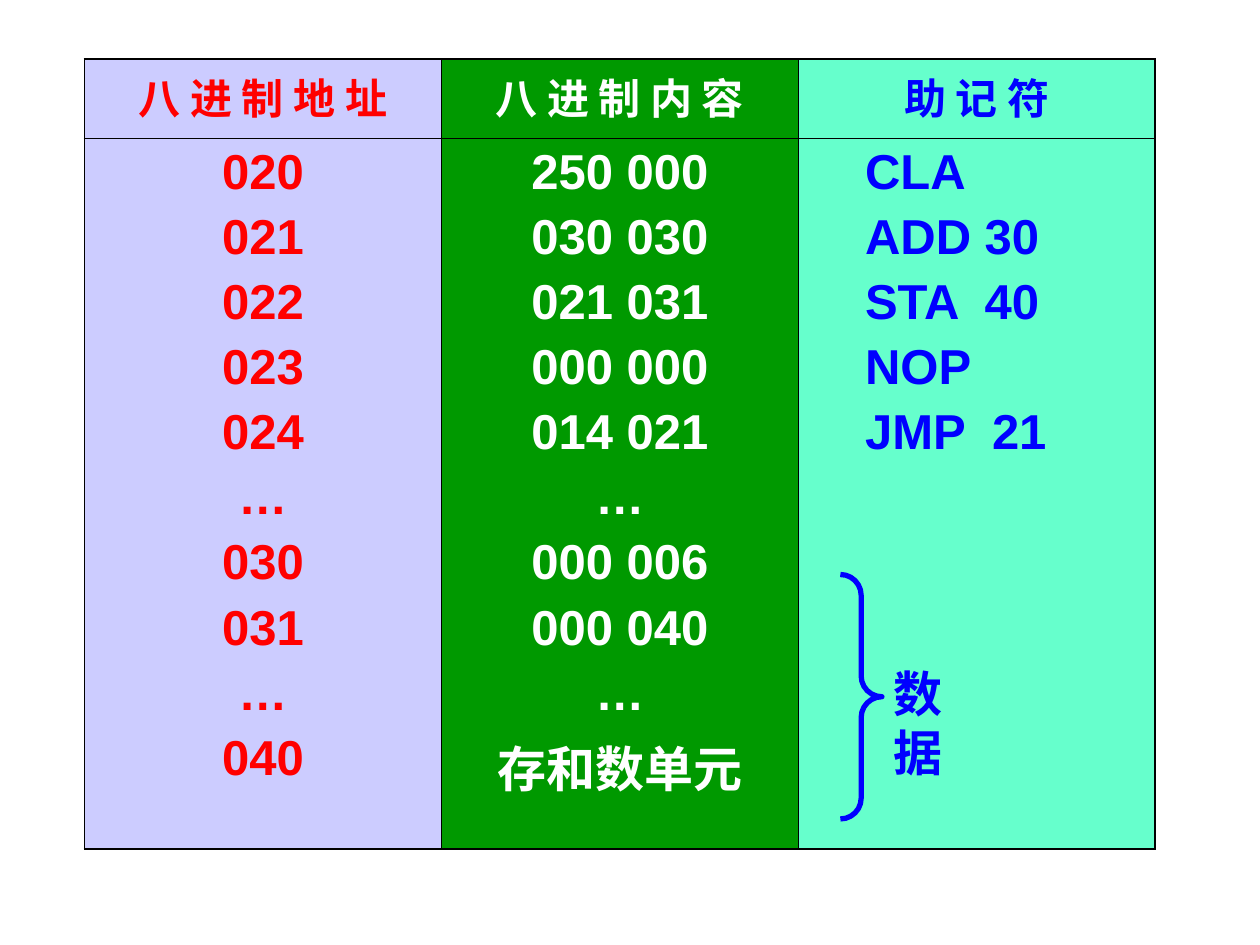
from dataclasses import dataclass

from lxml.etree import SubElement
from pptx import Presentation
from pptx.dml.color import RGBColor
from pptx.enum.shapes import MSO_SHAPE
from pptx.enum.text import MSO_ANCHOR, MSO_AUTO_SIZE, PP_ALIGN
from pptx.oxml import parse_xml
from pptx.oxml.ns import nsdecls, qn
from pptx.slide import Slide
from pptx.table import _Cell
from pptx.text.text import TextFrame
from pptx.util import Emu, Pt


@dataclass(frozen=True)
class Theme:
    address_text: str = "FF0000"
    address_fill: str = "CCCCFF"
    content_text: str = "FFFFFF"
    content_fill: str = "009900"
    mnemonic_text: str = "0000FF"
    mnemonic_fill: str = "66FFCC"
    border: str = "000000"
    latin_font: str = "Arial"
    chinese_font: str = "Noto Sans CJK SC"
    heading_size: int = 24
    body_size: int = 28
    line_gap: int = 6
    outer_border: float = 1.08
    inner_border: float = 0.45
    brace_width: int = 3


@dataclass(frozen=True)
class Column:
    heading: str
    lines: list[str]
    text_color: str
    fill: str
    align: PP_ALIGN = PP_ALIGN.CENTER
    indent: int = 0


@dataclass(frozen=True)
class Area:
    left: int
    top: int
    width: int
    height: int

    def emu(self) -> tuple[Emu, ...]:
        return tuple(map(px, (self.left, self.top, self.width, self.height)))


THEME = Theme()
EMU_PER_PX = 9144
TABLE_AREA = Area(67, 47, 850, 627)
HEADING_HEIGHT = 63
BRACE_AREA = Area(667, 456, 33, 194)
LABEL_AREA = Area(699, 522, 97, 57)
COLUMNS = [
    Column("八 进 制 地 址",
           ["020", "021", "022", "023", "024", "…", "030", "031", "…", "040"],
           THEME.address_text, THEME.address_fill),
    Column("八 进 制 内 容",
           ["250 000", "030 030", "021 031", "000 000", "014 021", "…",
            "000 006", "000 040", "…", "存和数单元"],
           THEME.content_text, THEME.content_fill),
    Column("助 记 符",
           ["CLA", "ADD 30", "STA  40", "NOP", "JMP  21"],
           THEME.mnemonic_text, THEME.mnemonic_fill, PP_ALIGN.LEFT, 43),
]


def px(length: int) -> Emu:
    return Emu(length * EMU_PER_PX)


def write_lines(frame: TextFrame, lines: list[str], color: str, size: int,
                font: str, align: PP_ALIGN, indent: int = 0) -> None:
    for index, line in enumerate(lines):
        para = frame.add_paragraph() if index else frame.paragraphs[0]
        para.alignment = align
        if index:
            para.space_before = Pt(THEME.line_gap)
        if indent:
            para._p.get_or_add_pPr().set("marL", str(px(indent)))
        span = para.add_run()
        span.text = line
        for name, value in {"name": font, "size": Pt(size), "bold": True}.items():
            setattr(span.font, name, value)
        span.font.color.rgb = RGBColor.from_string(color)
        SubElement(span._r.get_or_add_rPr(), qn("a:ea"),
                   typeface=THEME.chinese_font)


def style_cell(cell: _Cell, fill: str, outer_sides: dict[str, bool]) -> None:
    cell.vertical_anchor = MSO_ANCHOR.TOP
    cell.fill.solid()
    cell.fill.fore_color.rgb = RGBColor.from_string(fill)
    properties = cell._tc.get_or_add_tcPr()
    for position, (side, outer) in enumerate(outer_sides.items()):
        width = Pt(THEME.outer_border if outer else THEME.inner_border)
        properties.insert(position, parse_xml(
            f'<a:ln{side} {nsdecls("a")} w="{width}"><a:solidFill>'
            f'<a:srgbClr val="{THEME.border}"/></a:solidFill></a:ln{side}>'))


def draw_table(page: Slide, area: Area, columns: list[Column]) -> None:
    table = page.shapes.add_table(2, len(columns), *area.emu()).table
    table.first_row = False
    table.horz_banding = False
    table.rows[0].height = px(HEADING_HEIGHT)
    table.rows[1].height = px(area.height - HEADING_HEIGHT)
    for index, column in enumerate(columns):
        table.columns[index].width = Emu(px(area.width) // len(columns))
        heading, body = table.cell(0, index), table.cell(1, index)
        for cell, is_heading in ((heading, True), (body, False)):
            style_cell(cell, column.fill, {
                "L": index == 0, "R": index == len(columns) - 1,
                "T": is_heading, "B": not is_heading})
        write_lines(heading.text_frame, [column.heading], column.text_color,
                    THEME.heading_size, THEME.chinese_font, PP_ALIGN.CENTER)
        write_lines(body.text_frame, column.lines, column.text_color,
                    THEME.body_size, THEME.latin_font, column.align, column.indent)


def draw_brace(page: Slide, area: Area) -> None:
    brace = page.shapes.add_shape(MSO_SHAPE.RIGHT_BRACE, *area.emu())
    brace.shadow.inherit = False
    brace.adjustments[0] = 0.5
    brace.fill.background()
    brace.line.color.rgb = RGBColor.from_string(THEME.mnemonic_text)
    brace.line.width = Pt(THEME.brace_width)


def draw_label(page: Slide, area: Area, text: str) -> None:
    frame = page.shapes.add_textbox(*area.emu()).text_frame
    for name, value in {"word_wrap": False,
                        "auto_size": MSO_AUTO_SIZE.SHAPE_TO_FIT_TEXT}.items():
        setattr(frame, name, value)
    write_lines(frame, [text], THEME.mnemonic_text, THEME.body_size,
                THEME.latin_font, PP_ALIGN.LEFT)


def main() -> None:
    deck = Presentation()
    deck.slide_width, deck.slide_height = px(1000), px(750)
    page = deck.slides.add_slide(deck.slide_layouts[6])
    draw_table(page, TABLE_AREA, COLUMNS)
    draw_brace(page, BRACE_AREA)
    draw_label(page, LABEL_AREA, "数据")
    deck.save("out.pptx")


if __name__ == "__main__":
    main()
